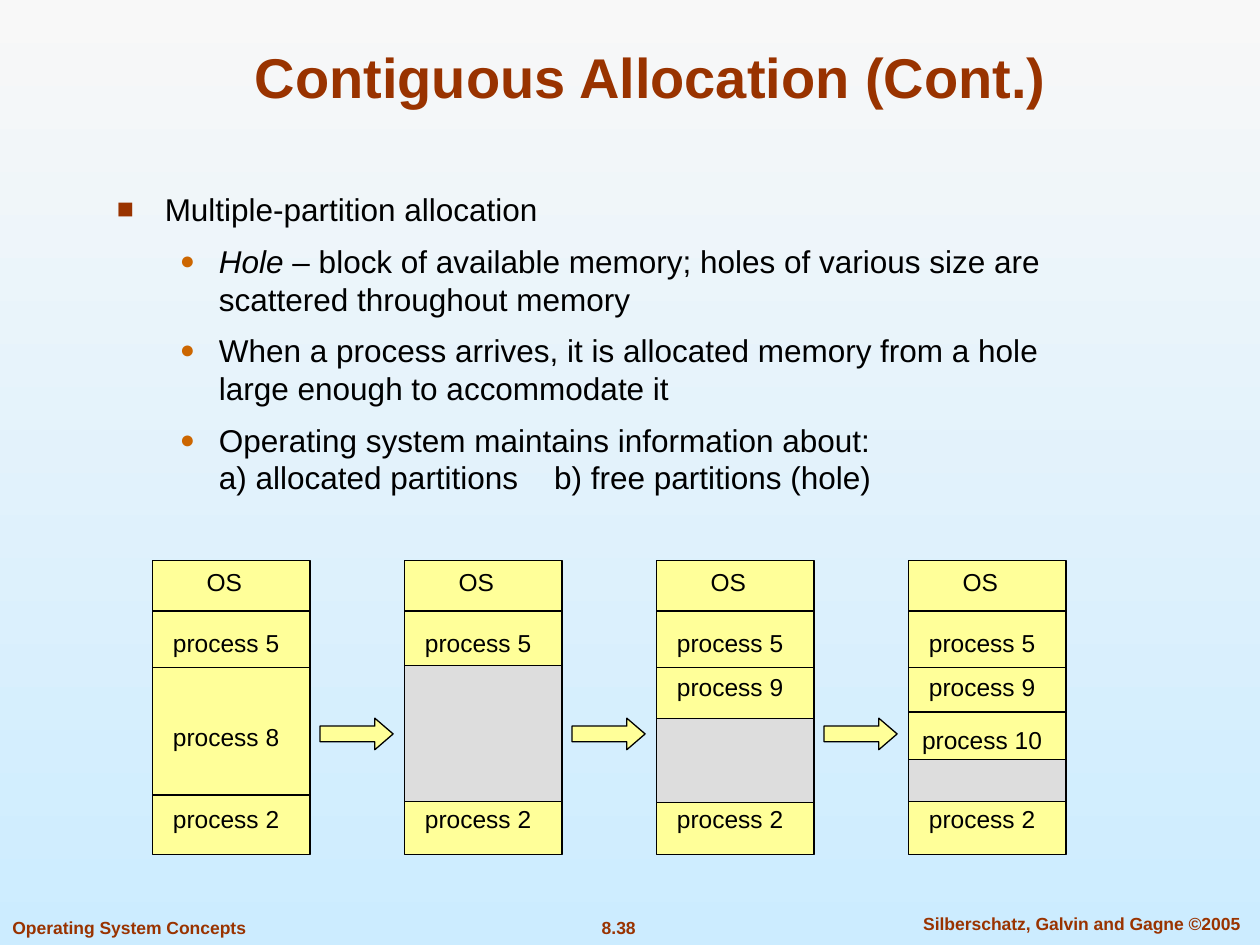
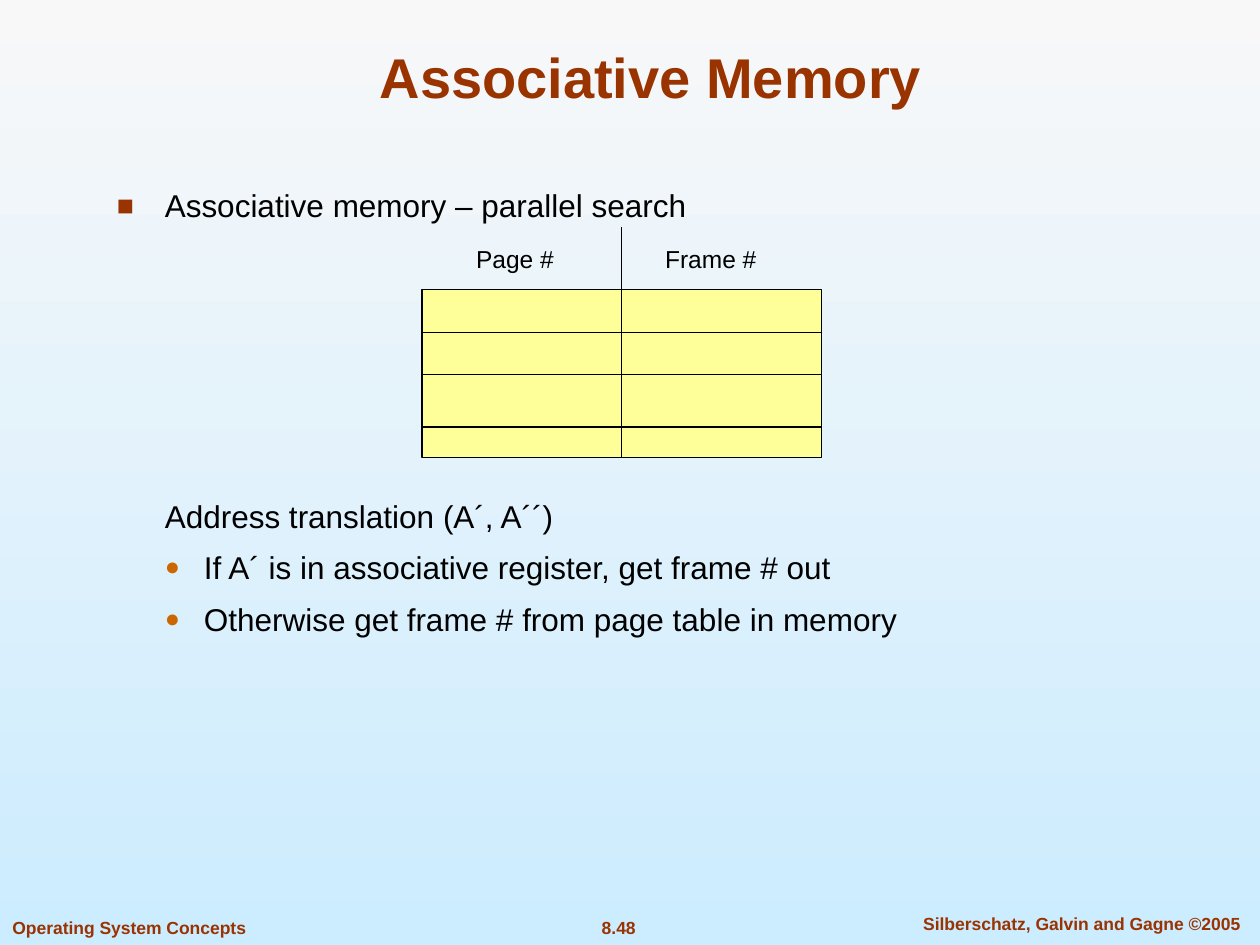
from lxml import etree
from pptx import Presentation
from pptx.dml.color import RGBColor
from pptx.enum import shapes, text
from pptx.oxml import ns
from pptx.util import Inches, Pt

RUST = RGBColor(0x99, 0x33, 0x00)
ORANGE = RGBColor(0xCC, 0x66, 0x00)
BLACK = RGBColor(0, 0, 0)
YELLOW = RGBColor(0xFF, 0xFF, 0x99)
GREY = RGBColor(0xDD, 0xDD, 0xDD)
SKY = (RGBColor(0xF8, 0xF8, 0xF8), RGBColor(0xCC, 0xEC, 0xFF))
FONT = "Arial"
LINE_WIDTH = Pt(0.74)
CENTER, LEFT = text.PP_ALIGN.CENTER, text.PP_ALIGN.LEFT

# Shared footers: text (None is the page number), box, alignment
FOOTERS = [
    (None, (4.42, 7.23, 0.98, 0.27), CENTER),
    ("Silberschatz, Galvin and Gagne ©2005", (7.1, 7.2, 2.97, 0.27), CENTER),
    ("Operating System Concepts", (0, 7.23, 2.05, 0.27), LEFT),
]

# Paragraph styles: left margin, hanging indent, bullet, its colour and size
SQUARE = (0.38, -0.38, "■", RUST, 90)
DOT = (0.81, -0.31, "●", ORANGE, 80)
NEAR_DOT = (0.69, -0.31, "●", ORANGE, 80)
PLAIN = (0.38, 0, None, None, None)

# Body paragraphs: style, space before, runs of (text, italic)
ALLOCATION = [
    (SQUARE, 7.9, [("Multiple-partition allocation", False)]),
    (DOT, 7.9, [("Hole", True),
                (" – block of available memory; holes of various size are "
                 "scattered throughout memory", False)]),
    (DOT, 7.9, [("When a process arrives, it is allocated memory from a hole "
                 "large enough to accommodate it", False)]),
    (DOT, 7.9, [("Operating system maintains information about:\v"
                 "a) allocated partitions\tb) free partitions (hole)", False)]),
]
TRANSLATION = [
    (SQUARE, 7.9, [("Associative memory – parallel search", False)]),
    (PLAIN, 155.8, [("Address translation (A´, A´´)", False)]),
    (NEAR_DOT, 7.9, [("If A´ is in associative register, get frame # out", False)]),
    (NEAR_DOT, 7.9, [("Otherwise get frame # from page table in memory", False)]),
]
PARTITION_TAB = 3.47

# Memory snapshots: processes, hole (top, height), extra divider
LABEL_TOPS = {"OS": 4.45, "process 5": 4.93, "process 8": 5.68, "process 9": 5.28,
              "process 10": 5.7, "process 2": 6.33}
MEMORIES = [
    (["OS", "process 5", "process 8", "process 2"], None, []),
    (["OS", "process 5", "process 2"], (5.28, 1.08), []),
    (["OS", "process 5", "process 9", "process 2"], (5.7, 0.67), []),
    (["OS", "process 5", "process 9", "process 10", "process 2"], (6.03, 0.33), [5.65]),
]
MEMORY_LEFT, MEMORY_STEP, MEMORY_TOP = 1.21, 2, 4.45
MEMORY_W, MEMORY_H = 1.25, 2.33
DIVIDERS = [4.85, 5.3, 6.31]

# Associative register grid
GRID = (3.35, 2.3, 3.17, 1.33)
GRID_ROWS = [2.64, 2.97, 3.39]
GRID_HEADS = [("Page #", 3.68), ("Frame #", 5.18)]


def add_run(p, words, size, color=BLACK, bold=False, italic=False):
    r = p.add_run()
    r.text = words
    f = r.font
    f.name, f.size, f.bold, f.italic = FONT, Pt(size), bold, italic
    f.color.rgb = color


def add_label(s, words, box, size=14, color=BLACK, bold=False, align=CENTER,
              anchor=text.MSO_ANCHOR.MIDDLE, wrap=True):
    tf = s.shapes.add_textbox(*map(Inches, box)).text_frame
    tf.word_wrap, tf.vertical_anchor = wrap, anchor
    p = tf.paragraphs[0]
    p.alignment = align
    add_run(p, words, size, color, bold)


def add_box(s, box, fill, kind=shapes.MSO_SHAPE.RECTANGLE):
    sp = s.shapes.add_shape(kind, *map(Inches, box))
    sp.shadow.inherit = False
    sp.fill.solid()
    sp.fill.fore_color.rgb = fill
    sp.line.color.rgb, sp.line.width = BLACK, LINE_WIDTH
    return sp


def add_line(s, x1, y1, x2, y2):
    c = s.shapes.add_connector(shapes.MSO_CONNECTOR.STRAIGHT,
                               *map(Inches, (x1, y1, x2, y2)))
    c.line.color.rgb, c.line.width = BLACK, LINE_WIDTH
    etree.SubElement(c._element.spPr, ns.qn("a:effectLst"))


def style_paragraph(p, style):
    margin, indent, bullet, color, size = style
    pPr = p._p.get_or_add_pPr()
    pPr.set("marL", str(Inches(margin)))
    pPr.set("indent", str(Inches(indent)))
    if bullet:
        clr = etree.SubElement(pPr, ns.qn("a:buClr"))
        etree.SubElement(clr, ns.qn("a:srgbClr"), val=str(color))
        etree.SubElement(pPr, ns.qn("a:buSzPct"), val=str(size * 1000))
        etree.SubElement(pPr, ns.qn("a:buFont"), typeface=FONT)
        etree.SubElement(pPr, ns.qn("a:buChar"), char=bullet)


def add_body(s, box, paragraphs):
    tf = s.shapes.add_textbox(*map(Inches, box)).text_frame
    tf.word_wrap = True
    for i, (style, before, runs) in enumerate(paragraphs):
        p = tf.add_paragraph() if i else tf.paragraphs[0]
        p.space_before = Pt(before)
        style_paragraph(p, style)
        for words, italic in runs:
            for j, part in enumerate(words.split("\v")):
                if j:
                    p.add_line_break()
                add_run(p, part, 18, italic=italic)
            if "\t" in words:
                tabs = etree.SubElement(p._p.pPr, ns.qn("a:tabLst"))
                etree.SubElement(tabs, ns.qn("a:tab"),
                                 pos=str(Inches(PARTITION_TAB)), algn="l")


def new_slide(title, number):
    s = prs.slides.add_slide(prs.slide_layouts[5])
    for words, box, align in FOOTERS:
        add_label(s, words or number, box, 10, RUST, True, align,
                  text.MSO_ANCHOR.TOP, wrap=False)
    sp = s.shapes.title
    sp.left, sp.top, sp.width, sp.height = map(Inches, (0.75, 0.25, 8.83, 0.67))
    tf = sp.text_frame
    tf.auto_size = text.MSO_AUTO_SIZE.NONE
    tf.vertical_anchor = text.MSO_ANCHOR.BOTTOM
    tf.paragraphs[0].alignment = CENTER
    add_run(tf.paragraphs[0], title, 32, RUST, bold=True)
    return s


prs = Presentation()
prs.slide_width, prs.slide_height = Inches(10), Inches(7.5)

# Shared background
fill = prs.slide_master.background.fill
fill.gradient()
fill.gradient_angle = 270
for stop, color in zip(fill.gradient_stops, SKY):
    stop.color.rgb = color

# Slide 1: memory snapshots
s = new_slide("Contiguous Allocation (Cont.)", "8.38")
add_body(s, (0.83, 1.46, 8.04, 2.85), ALLOCATION)
for i, (processes, hole, extra) in enumerate(MEMORIES):
    x = MEMORY_LEFT + i * MEMORY_STEP
    add_box(s, (x, MEMORY_TOP, MEMORY_W, MEMORY_H), YELLOW)
    for y in DIVIDERS + extra:
        add_line(s, x, y, x + MEMORY_W, y)
    if hole:
        add_box(s, (x, hole[0], MEMORY_W, hole[1]), GREY)
    for name in processes:
        dx, w = (0.33, 0.48) if name == "OS" else (0, 1.17)
        add_label(s, name, (x + dx, LABEL_TOPS[name], w, 0.34), wrap=name != "OS")
    if i:
        arrow = add_box(s, (x - 0.67, 5.7, 0.58, 0.25), YELLOW,
                        shapes.MSO_SHAPE.RIGHT_ARROW)
        arrow.adjustments[0], arrow.adjustments[1] = 0.5, 0.58

# Slide 2: associative registers
s = new_slide("Associative Memory", "8.48")
add_body(s, (0.83, 1.43, 8.04, 4.9), TRANSLATION)
x, y, w, h = GRID
add_box(s, GRID, YELLOW)
add_line(s, x + w / 2, 1.8, x + w / 2, y + h)
for row in GRID_ROWS:
    add_line(s, x, row, x + w, row)
for head, left in GRID_HEADS:
    add_label(s, head, (left, 1.89, 1.42, 0.33), align=LEFT, wrap=False)

prs.save("out.pptx")
